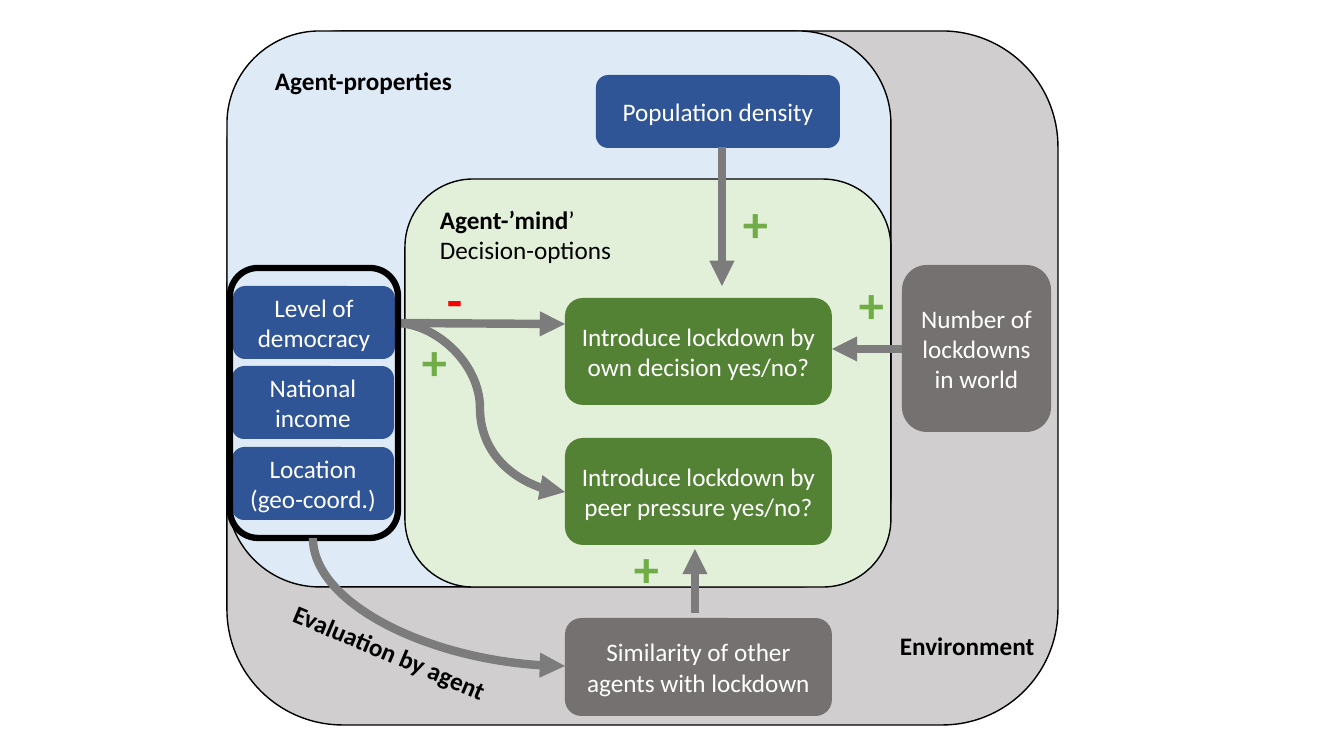
"""Builds the slide on how an agent decides to introduce a lockdown."""
import pptx
import pptx.dml.color
import pptx.enum.shapes
import pptx.enum.text
import pptx.oxml
import pptx.oxml.ns
import pptx.util

PX = 914400 / 100.8
BLACK, WHITE, ARROW = "000000", "FFFFFF", "7C7C7C"
BLUE, GREEN, GREY = "2F5597", "548235", "767171"
PLUS, MINUS = "70AD47", "FF0000"


def px(*values):
    return [pptx.util.Emu(round(v * PX)) for v in values]


def rgb(value):
    return pptx.dml.color.RGBColor.from_string(value)


class Slide:
    font, size = "Calibri", 18

    def __init__(self, prs):
        self.s = prs.slides.add_slide(prs.slide_layouts[6])

    def add_text(self, tf, paras, color, size=size, align="LEFT"):
        tf.word_wrap = True
        for i, runs in enumerate(paras):
            p = tf.add_paragraph() if i else tf.paragraphs[0]
            p.alignment = getattr(pptx.enum.text.PP_ALIGN, align)
            for text, bold in runs:
                r = p.add_run()
                r.text = text
                r.font.name, r.font.bold = self.font, bold
                r.font.size = pptx.util.Pt(size)
                r.font.color.rgb = rgb(color)

    def panel(self, *box, fill=None, line=None, width=1):
        kind = pptx.enum.shapes.MSO_SHAPE.ROUNDED_RECTANGLE
        sp = self.s.shapes.add_shape(kind, *px(*box))
        sp.shadow.inherit = False
        if fill:
            sp.fill.solid()
            sp.fill.fore_color.rgb = rgb(fill)
        else:
            sp.fill.background()
        if line:
            sp.line.color.rgb = rgb(line)
            sp.line.width = pptx.util.Pt(width)
        else:
            sp.line.fill.background()
        return sp

    def node(self, *box, fill, lines):
        tf = self.panel(*box, fill=fill).text_frame
        tf.vertical_anchor = pptx.enum.text.MSO_ANCHOR.MIDDLE
        self.add_text(tf, [[(t, False)] for t in lines], WHITE, align="CENTER")

    def label(self, *box, paras, color=BLACK, size=size, rotation=0):
        sp = self.s.shapes.add_textbox(*px(*box))
        sp.rotation = rotation
        self.add_text(sp.text_frame, paras, color, size)

    def sign(self, x, y, text="+", color=PLUS):
        self.label(x, y, 38, 72, paras=[[(text, True)]], color=color, size=36)

    def arrow(self, *ends, kind="STRAIGHT"):
        kind = getattr(pptx.enum.shapes.MSO_CONNECTOR, kind)
        sp = self.s.shapes.add_connector(kind, *px(*ends))
        sp.line.color.rgb = rgb(ARROW)
        sp.line.width = pptx.util.Pt(6)
        ns = pptx.oxml.ns.nsdecls("a")
        spPr = sp._element.spPr
        spPr.find(pptx.oxml.ns.qn("a:ln")).append(
            pptx.oxml.parse_xml(f'<a:tailEnd {ns} type="triangle"/>'))
        spPr.append(pptx.oxml.parse_xml(f"<a:effectLst {ns}/>"))
        return sp

    def quarter_arrow(self, x1, y1, x2, y2):
        cx, cy, w, h = (x1 + x2) / 2, (y1 + y2) / 2, y2 - y1, x2 - x1
        sp = self.arrow(cx - w / 2, cy - h / 2, cx + w / 2, cy + h / 2, kind="CURVE")
        spPr = sp._element.spPr
        spPr.find(pptx.oxml.ns.qn("a:prstGeom")).set("prst", "curvedConnector2")
        xfrm = spPr.find(pptx.oxml.ns.qn("a:xfrm"))
        xfrm.set("rot", "16200000")
        xfrm.set("flipH", "1")


prs = pptx.Presentation()
prs.slide_width, prs.slide_height = px(1344, 756)
s = Slide(prs)

s.panel(227, 31, 831, 694, fill="D0CECE", line=BLACK)
s.panel(227, 31, 664, 556, fill="DEEBF7", line=BLACK)
s.panel(405, 179, 486, 408, fill="E2F0D9", line=BLACK)

for y, how in ((298, "own decision"), (438, "peer pressure")):
    s.node(565, y, 267, 107, fill=GREEN, lines=[f"Introduce lockdown by {how} yes/no?"])

s.label(430, 199, 209, 72, paras=[[("Agent-’mind", True), ("’", False)],
                                  [("Decision-options", False)]])
s.label(265, 60, 284, 40, paras=[[("Agent-properties", True)]])
s.label(890, 625, 167, 40, paras=[[("Environment", True)]])

s.node(596, 75, 244, 73, fill=BLUE, lines=["Population density"])
s.node(902, 265, 149, 167, fill=GREY, lines=["Number of lockdowns in world"])
s.node(565, 618, 267, 98, fill=GREY, lines=["Similarity of other agents with lockdown"])
for x, y, lines in ((233, 286, ["Level of democracy"]),
                    (232, 366, ["National income"]),
                    (232, 447, ["Location", "(geo-coord.)"])):
    s.node(x, y, 162, 73, fill=BLUE, lines=lines)

for ends in ((722, 147, 722, 286), (395, 323, 565, 324),
             (902, 349, 832, 349), (695, 613, 695, 549)):
    s.arrow(*ends)
s.arrow(395, 323, 565, 492, kind="CURVE")
s.panel(230, 268, 168, 270, line=BLACK, width=4.5)
s.quarter_arrow(313, 538, 565, 666)

s.sign(437, 263, "-", MINUS)
for x, y in ((624, 532), (733, 187), (849, 268), (412, 325)):
    s.sign(x, y)
s.label(277, 633, 232, 40, paras=[[("Evaluation by agent", True)]], rotation=22.8)

prs.save("out.pptx")
